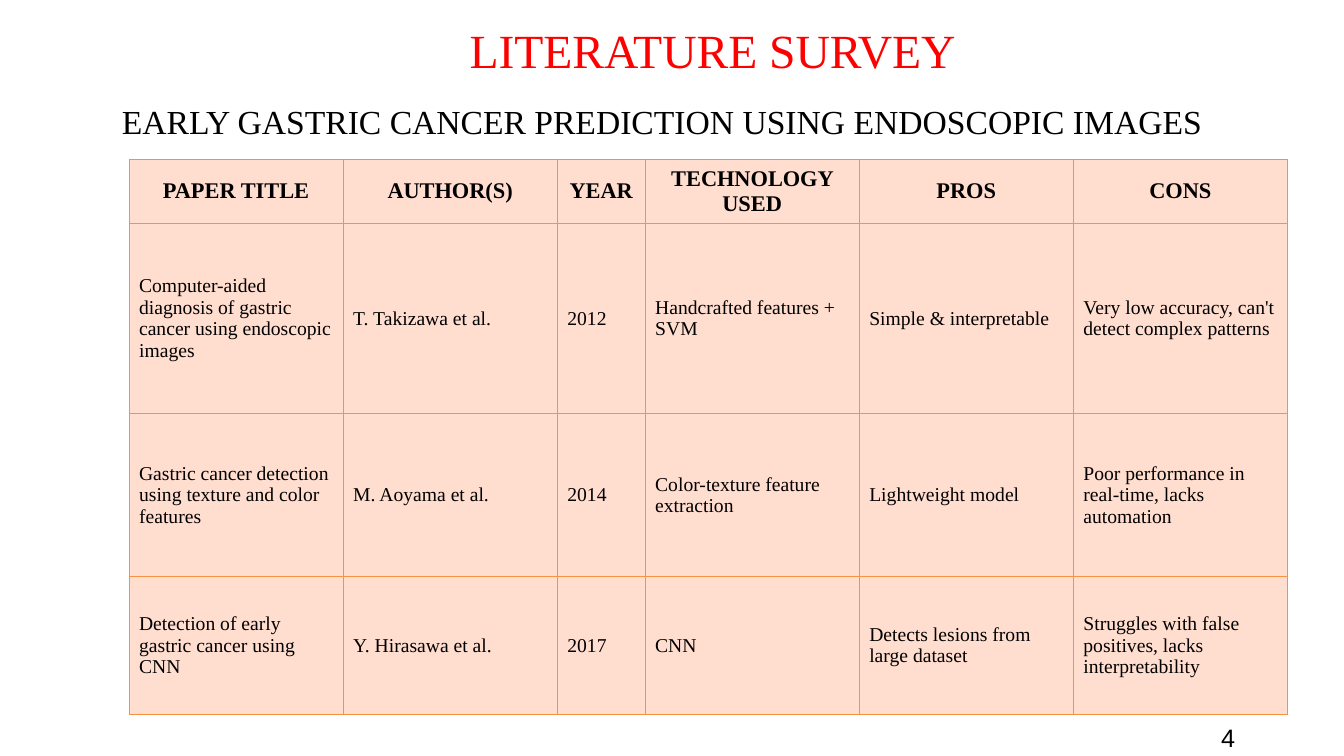
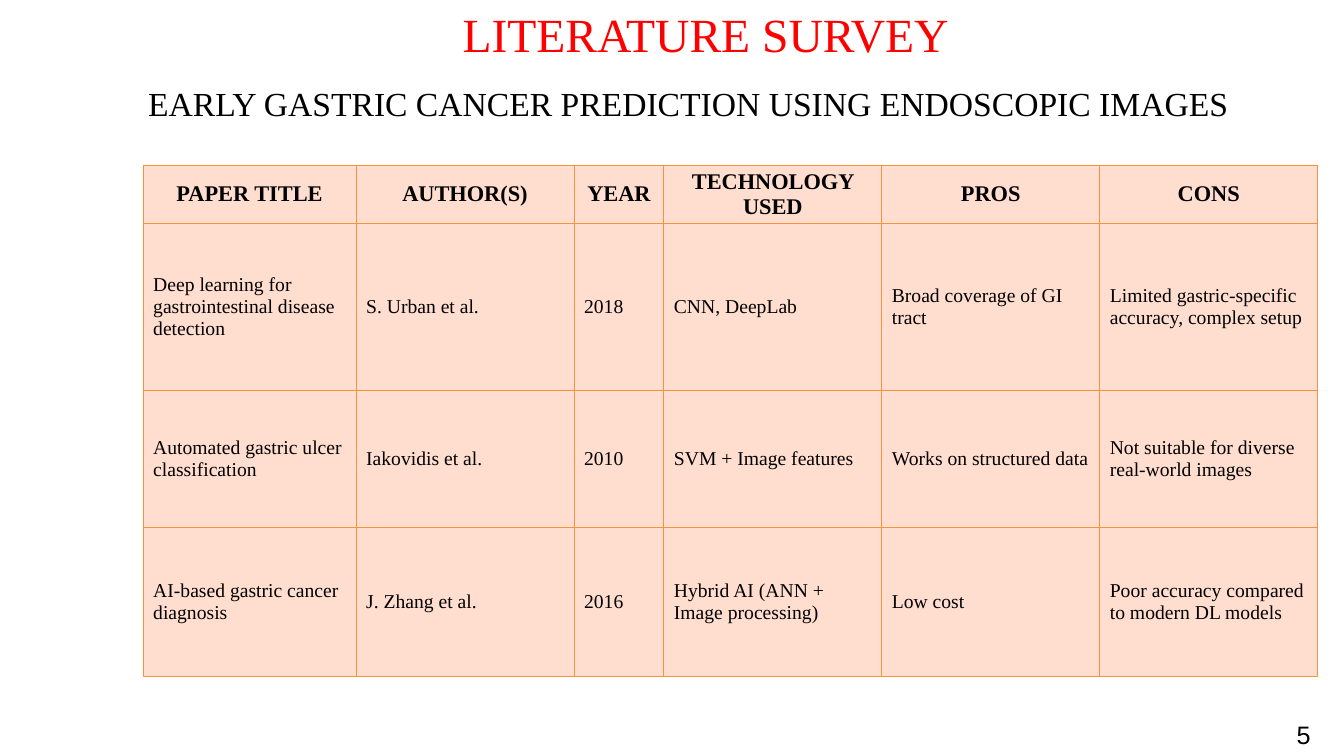
from dataclasses import dataclass

from lxml import etree
from pptx import Presentation
from pptx.dml.color import RGBColor
from pptx.enum.text import MSO_ANCHOR, PP_ALIGN
from pptx.oxml.ns import qn
from pptx.util import Emu, Inches, Pt

MIDDLE = MSO_ANCHOR.MIDDLE
CENTER, LEFT = PP_ALIGN.CENTER, PP_ALIGN.LEFT
SLIDE_WIDTH, SLIDE_HEIGHT = Inches(13.33), Inches(7.5)
BLANK_LAYOUT = 6


@dataclass(frozen=True)
class TextStyle:
    font: str
    size: float
    color: str
    bold: bool = False


@dataclass(frozen=True)
class Theme:
    title: TextStyle = TextStyle("Times New Roman", 34, "FF0000")
    subtitle: TextStyle = TextStyle("Times New Roman", 24, "000000")
    header: TextStyle = TextStyle("Times New Roman", 16, "000000", True)
    body: TextStyle = TextStyle("Times New Roman", 14, "000000")
    number: TextStyle = TextStyle("Arial", 18, "000000")
    cell_fill: str = "FFDDCF"
    border: str = "F69240"
    border_width: float = 0.75


@dataclass(frozen=True)
class Area:
    """A rectangle in percent of the slide's width and height."""
    left: float
    top: float
    width: float
    height: float

    def lengths(self) -> tuple[Emu, Emu, Emu, Emu]:
        return (across(self.left), down(self.top),
                across(self.width), down(self.height))


@dataclass(frozen=True)
class Survey:
    number: str
    title_area: Area
    subtitle_area: Area
    table_area: Area
    number_area: Area
    column_weights: tuple[float, ...]
    row_weights: tuple[float, ...]
    header_margins: tuple[float, float]
    papers: tuple[tuple[str, ...], ...]


THEME = Theme()
TITLE = "LITERATURE SURVEY"
SUBTITLE = "EARLY GASTRIC CANCER PREDICTION USING ENDOSCOPIC IMAGES"
HEADERS = ("PAPER TITLE", "AUTHOR(S)", "YEAR", "TECHNOLOGY USED", "PROS", "CONS")
BODY_MARGINS = (0.1, 0.05)

SURVEYS = (
    Survey(
        number="4",
        title_area=Area(34.2, 2.13, 40, 8.9),
        subtitle_area=Area(8.33, 12.67, 88, 6.7),
        table_area=Area(9.6, 21.07, 86.2, 73.33),
        number_area=Area(90.55, 94.93, 2, 4.1),
        column_weights=(2.12, 2.12, 0.87, 2.12, 2.12, 2.12),
        row_weights=(0.63, 1.89, 1.62, 1.36),
        header_margins=BODY_MARGINS,
        papers=(
            ("Computer-aided diagnosis of gastric cancer using endoscopic images",
             "T. Takizawa et al.", "2012", "Handcrafted features + SVM",
             "Simple & interpretable",
             "Very low accuracy, can't detect complex patterns"),
            ("Gastric cancer detection using texture and color features",
             "M. Aoyama et al.", "2014", "Color-texture feature extraction",
             "Lightweight model",
             "Poor performance in real-time, lacks automation"),
            ("Detection of early gastric cancer using CNN",
             "Y. Hirasawa et al.", "2017", "CNN",
             "Detects lesions from large dataset",
             "Struggles with false positives, lacks interpretability"),
        ),
    ),
    Survey(
        number="5",
        title_area=Area(33.68, 0, 40, 8.9),
        subtitle_area=Area(10.28, 10.27, 88, 6.7),
        table_area=Area(10.65, 21.87, 87.4, 67.47),
        number_area=Area(96.17, 94.53, 2, 4.1),
        column_weights=(2.11, 2.16, 0.89, 2.16, 2.16, 2.16),
        row_weights=(0.56, 1.66, 1.35, 1.48),
        header_margins=(0.04, 0.02),
        papers=(
            ("Deep learning for gastrointestinal disease detection",
             "S. Urban et al.", "2018", "CNN, DeepLab",
             "Broad coverage of GI tract",
             "Limited gastric-specific accuracy, complex setup"),
            ("Automated gastric ulcer classification",
             "Iakovidis et al.", "2010", "SVM + Image features",
             "Works on structured data",
             "Not suitable for diverse real-world images"),
            ("AI-based gastric cancer diagnosis",
             "J. Zhang et al.", "2016", "Hybrid AI (ANN + Image processing)",
             "Low cost",
             "Poor accuracy compared to modern DL models"),
        ),
    ),
)


def across(percent: float) -> Emu:
    return Emu(round(SLIDE_WIDTH * percent / 100))


def down(percent: float) -> Emu:
    return Emu(round(SLIDE_HEIGHT * percent / 100))


def style_text(frame, style: TextStyle) -> None:
    for para in frame.paragraphs:
        for span in para.runs:
            span.font.name = style.font
            span.font.size = Pt(style.size)
            span.font.bold = style.bold
            span.font.color.rgb = RGBColor.from_string(style.color)


def add_text(slide, text: str, area: Area, style: TextStyle):
    box = slide.shapes.add_textbox(*area.lengths())
    frame = box.text_frame
    frame.word_wrap = True
    frame.text = text
    style_text(frame, style)
    return frame


def add_page_number(slide, survey: Survey) -> None:
    frame = add_text(slide, survey.number, survey.number_area, THEME.number)
    frame.margin_left = Inches(0.04)
    frame.margin_right = frame.margin_top = frame.margin_bottom = 0
    frame.paragraphs[0].line_spacing = 1.16


def add_borders(cell) -> None:
    properties = cell._tc.get_or_add_tcPr()
    for side in ("a:lnL", "a:lnR", "a:lnT", "a:lnB"):
        line = etree.SubElement(properties, qn(side), w=str(Pt(THEME.border_width)))
        fill = etree.SubElement(line, qn("a:solidFill"))
        etree.SubElement(fill, qn("a:srgbClr"), val=THEME.border)


def fill_cell(cell, text: str, style: TextStyle, alignment: PP_ALIGN,
              margins: tuple[float, float]) -> None:
    add_borders(cell)
    cell.fill.solid()
    cell.fill.fore_color.rgb = RGBColor.from_string(THEME.cell_fill)
    cell.vertical_anchor = MIDDLE
    cell.margin_left = cell.margin_right = Inches(margins[0])
    cell.margin_top = cell.margin_bottom = Inches(margins[1])
    cell.text_frame.text = text
    cell.text_frame.paragraphs[0].alignment = alignment
    style_text(cell.text_frame, style)


def share_out(total: Emu, weights: tuple[float, ...]) -> list[Emu]:
    """Divide a length in proportion to the weights."""
    return [Emu(round(total * weight / sum(weights))) for weight in weights]


def add_paper_table(slide, survey: Survey) -> None:
    left, top, width, height = survey.table_area.lengths()
    rows = (HEADERS, *survey.papers)
    table = slide.shapes.add_table(
        len(rows), len(HEADERS), left, top, width, height).table
    table.first_row = table.horz_banding = False
    for column, size in zip(table.columns, share_out(width, survey.column_weights)):
        column.width = size
    for row, size in zip(table.rows, share_out(height, survey.row_weights)):
        row.height = size
    for row_index, texts in enumerate(rows):
        if row_index == 0:
            look = (THEME.header, CENTER, survey.header_margins)
        else:
            look = (THEME.body, LEFT, BODY_MARGINS)
        for column_index, text in enumerate(texts):
            fill_cell(table.cell(row_index, column_index), text, *look)


def add_survey_slide(deck, survey: Survey) -> None:
    slide = deck.slides.add_slide(deck.slide_layouts[BLANK_LAYOUT])
    add_page_number(slide, survey)
    add_text(slide, TITLE, survey.title_area, THEME.title)
    add_text(slide, SUBTITLE, survey.subtitle_area, THEME.subtitle)
    add_paper_table(slide, survey)


def main() -> None:
    deck = Presentation()
    deck.slide_width, deck.slide_height = SLIDE_WIDTH, SLIDE_HEIGHT
    for survey in SURVEYS:
        add_survey_slide(deck, survey)
    deck.save("out.pptx")


if __name__ == "__main__":
    main()
